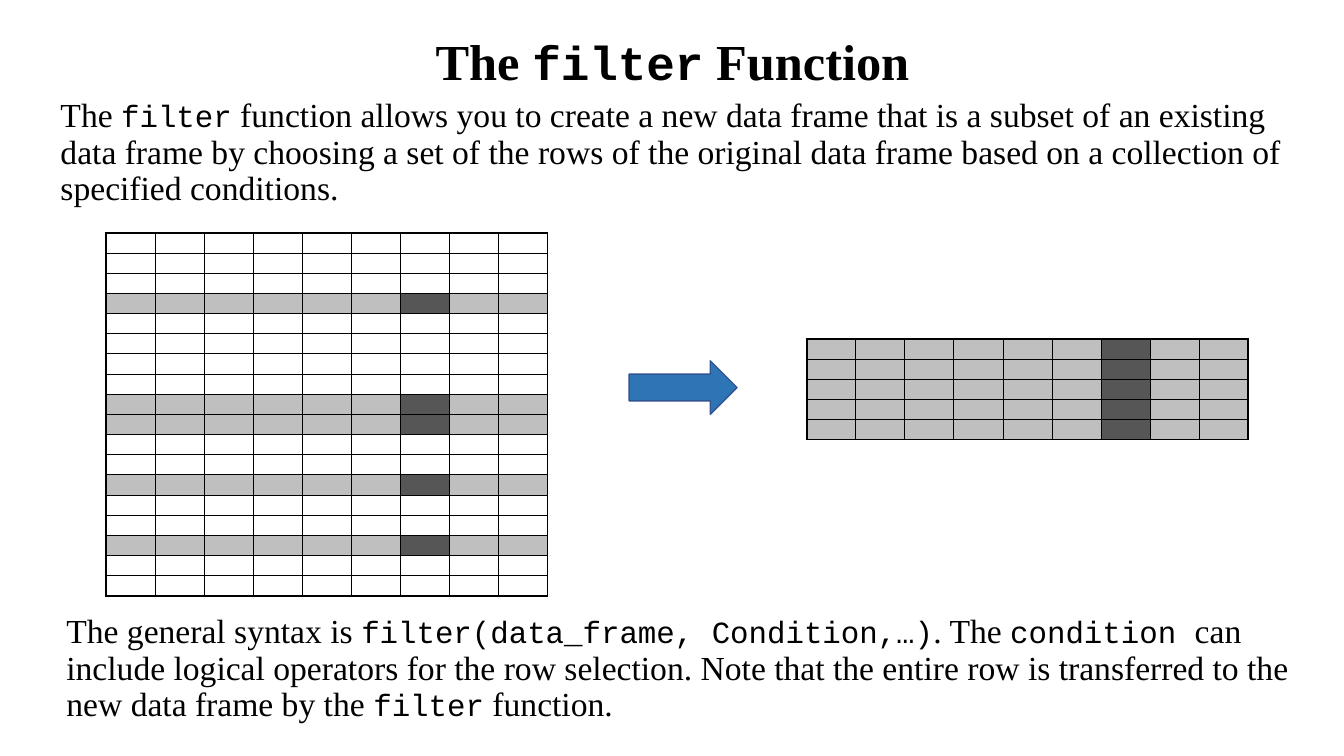
from dataclasses import dataclass

from lxml import etree
from pptx import Presentation
from pptx.dml.color import RGBColor
from pptx.enum import shapes, text
from pptx.oxml import ns
from pptx.util import Inches, Pt


@dataclass(frozen=True)
class Theme:
    prose_font: str = "Times New Roman"
    code_font: str = "Courier New"
    ink: str = "000000"
    selected: str = "BFBFBF"
    tested: str = "565656"
    arrow: str = "2E75B6"
    arrow_line: str = "325491"
    title_size: int = 36
    title_code_size: int = 34
    prose_size: int = 24
    code_size: int = 22
    cell_size: int = 6
    inner_line: float = 0.5
    outer_line: float = 1.5


@dataclass(frozen=True)
class Box:
    left: float
    top: float
    width: float
    height: float

    def lengths(self) -> tuple:
        return tuple(map(Inches, (self.left, self.top, self.width, self.height)))


@dataclass(frozen=True)
class DataFrame:
    left: float
    top: float
    row_count: int
    selected_rows: frozenset


THEME = Theme()
COLUMN_COUNT = 9
TESTED_COLUMN = 6
FRAME_WIDTH = 4.38
ROW_HEIGHT = 0.2

FRAMES = (
    DataFrame(1.05, 2.31, 18, frozenset({3, 8, 9, 12, 15})),
    DataFrame(8, 3.36, 5, frozenset(range(5))),
)

TITLE = "The `filter` Function"
PURPOSE = (
    "The `filter` function allows you to create a new data frame that is a subset "
    "of an existing data frame by choosing a set of the rows of the original data "
    "frame based on a collection of specified conditions."
)
SYNTAX = (
    "The general syntax is `filter(data_frame, Condition,…)`. The `condition `can "
    "include logical operators for the row selection. Note that the entire row is "
    "transferred to the new data frame by the `filter` function."
)


def write_prose(shape, box: Box, prose: str, size: int, code_size: int,
                bold: bool = False) -> None:
    """Fill a text shape; parts between backticks are set in the code font."""
    shape.left, shape.top, shape.width, shape.height = box.lengths()
    frame = shape.text_frame
    frame.word_wrap = True
    frame.auto_size = text.MSO_AUTO_SIZE.NONE
    paragraph = frame.paragraphs[0]
    paragraph.line_spacing = 0.9
    for index, part in enumerate(prose.split("`")):
        is_code = index % 2 == 1
        run = paragraph.add_run()
        run.text = part
        run.font.name = THEME.code_font if is_code else THEME.prose_font
        run.font.size = Pt(code_size if is_code else size)
        run.font.bold = bold
        run.font.color.rgb = RGBColor.from_string(THEME.ink)


def remove_bullet(paragraph) -> None:
    properties = paragraph._p.get_or_add_pPr()
    properties.set("marL", "0")
    properties.set("indent", "0")
    etree.SubElement(properties, ns.qn("a:buNone"))


def border_cell(cell, widths: dict) -> None:
    """Draw the cell's borders; widths maps L, R, T, B to points, in that order."""
    properties = cell._tc.get_or_add_tcPr()
    for index, (side, width) in enumerate(widths.items()):
        line = etree.Element(ns.qn(f"a:ln{side}"), w=str(Pt(width)))
        fill = etree.SubElement(line, ns.qn("a:solidFill"))
        etree.SubElement(fill, ns.qn("a:srgbClr"), val=THEME.ink)
        properties.insert(index, line)


def format_cell(cell, row: int, column: int, data: DataFrame) -> None:
    cell.margin_left = cell.margin_right = cell.margin_top = cell.margin_bottom = 0
    if row in data.selected_rows:
        colour = THEME.tested if column == TESTED_COLUMN else THEME.selected
        cell.fill.solid()
        cell.fill.fore_color.rgb = RGBColor.from_string(colour)
    else:
        cell.fill.background()
    on_edge = {
        "L": column == 0,
        "R": column == COLUMN_COUNT - 1,
        "T": row == 0,
        "B": row == data.row_count - 1,
    }
    border_cell(cell, {side: THEME.outer_line if edge else THEME.inner_line
                       for side, edge in on_edge.items()})
    # An empty cell takes its height from the end-of-paragraph size.
    etree.SubElement(cell.text_frame.paragraphs[0]._p, ns.qn("a:endParaRPr"),
                     sz=str(THEME.cell_size * 100))


def add_data_frame(slide, data: DataFrame) -> None:
    box = Box(data.left, data.top, FRAME_WIDTH, ROW_HEIGHT * data.row_count)
    table = slide.shapes.add_table(data.row_count, COLUMN_COUNT, *box.lengths()).table
    table.first_row = False
    table.horz_banding = False
    for column in table.columns:
        column.width = Inches(FRAME_WIDTH / COLUMN_COUNT)
    for row_index, row in enumerate(table.rows):
        row.height = Inches(ROW_HEIGHT)
        for column_index, cell in enumerate(row.cells):
            format_cell(cell, row_index, column_index, data)


def add_arrow(slide, box: Box) -> None:
    arrow = slide.shapes.add_shape(shapes.MSO_SHAPE.RIGHT_ARROW, *box.lengths())
    arrow.shadow.inherit = False
    arrow.fill.solid()
    arrow.fill.fore_color.rgb = RGBColor.from_string(THEME.arrow)
    arrow.line.color.rgb = RGBColor.from_string(THEME.arrow_line)
    arrow.line.width = Pt(1)


def main() -> None:
    deck = Presentation()
    deck.slide_width, deck.slide_height = Inches(13.33), Inches(7.5)
    slide = deck.slides.add_slide(deck.slide_layouts[1])

    title = slide.shapes.title
    write_prose(title, Box(0.92, 0.3, 11.5, 0.67), TITLE,
                THEME.title_size, THEME.title_code_size, bold=True)
    title.text_frame.vertical_anchor = text.MSO_ANCHOR.MIDDLE
    title.text_frame.paragraphs[0].alignment = text.PP_ALIGN.CENTER

    purpose = slide.placeholders[1]
    syntax_box = Box(0.56, 6.05, 12.39, 1.19)
    syntax = slide.shapes.add_textbox(*syntax_box.lengths())
    for shape, box, prose in (
        (purpose, Box(0.5, 0.93, 12.47, 4.76), PURPOSE),
        (syntax, syntax_box, SYNTAX),
    ):
        write_prose(shape, box, prose, THEME.prose_size, THEME.code_size)
        paragraph = shape.text_frame.paragraphs[0]
        paragraph.space_before = Pt(10)
        remove_bullet(paragraph)

    add_arrow(slide, Box(6.24, 3.58, 1.07, 0.53))
    for data in FRAMES:
        add_data_frame(slide, data)
    deck.save("out.pptx")


if __name__ == "__main__":
    main()
